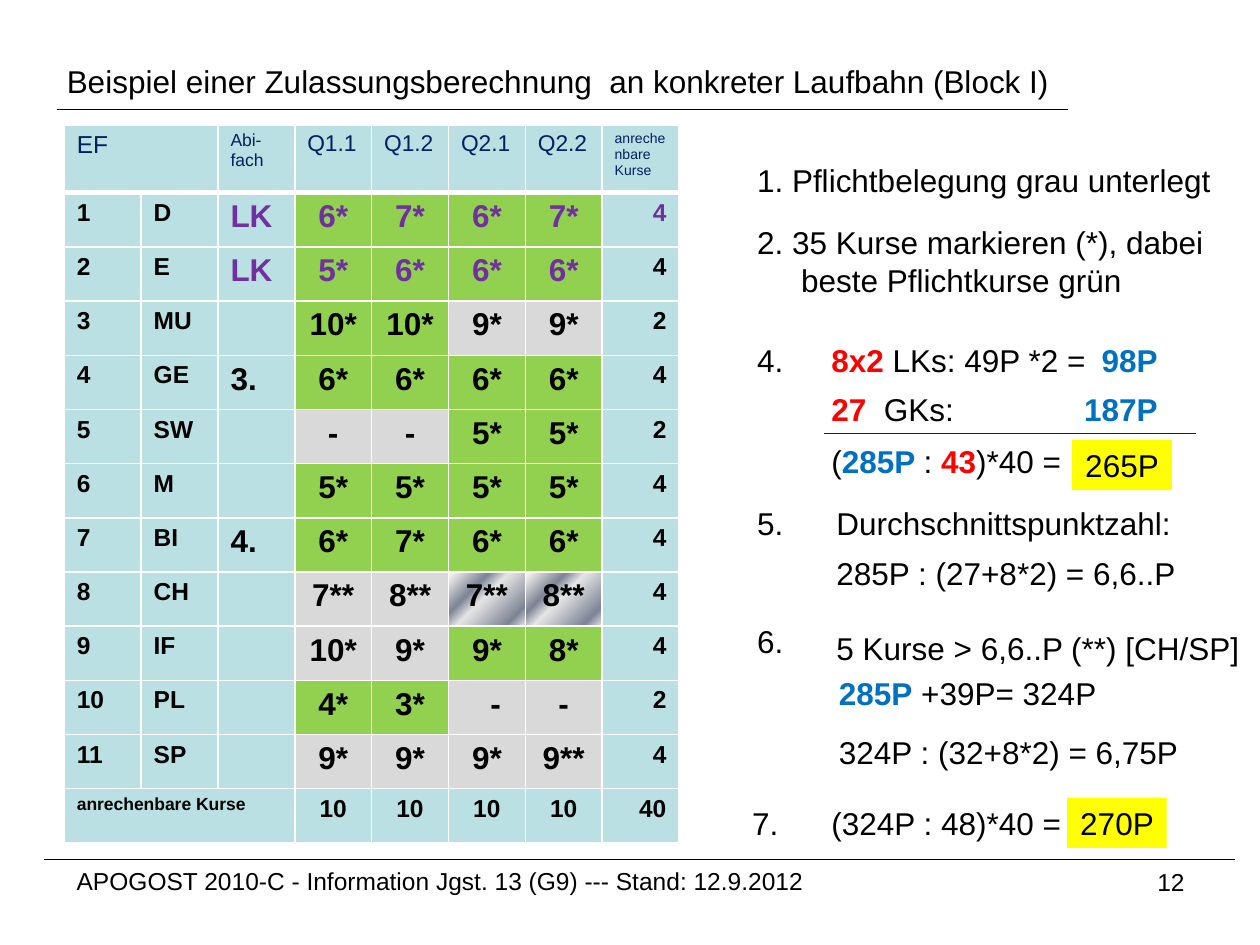
"""Build the slide that works out an admission score from course grades."""
from lxml import etree
from pptx import Presentation
from pptx.dml.color import RGBColor
from pptx.enum.shapes import MSO_CONNECTOR, MSO_SHAPE
from pptx.enum.text import MSO_ANCHOR, MSO_AUTO_SIZE, PP_ALIGN
from pptx.oxml.ns import qn
from pptx.util import Inches, Pt

LEFT, MID, RIGHT = PP_ALIGN.LEFT, PP_ALIGN.CENTER, PP_ALIGN.RIGHT
TOP, FIXED = MSO_ANCHOR.TOP, MSO_AUTO_SIZE.NONE
RECT, LINE = MSO_SHAPE.RECTANGLE, MSO_CONNECTOR.STRAIGHT


class Theme:
    font = "Arial"
    black, white, navy = "000000", "FFFFFF", "002060"
    red, blue, plum = "FF0000", "0070C0", "7030A0"
    pale, green, grey, gold = "BBE0E3", "92D050", "D9D9D9", "FFFF00"
    shine = ((0, white), (7, "E6E6E6"), (32, "7D8496"),
             (47, "E6E6E6"), (85, "7D8496"), (100, "E6E6E6"))
    big, base, head, small, tiny = 18, 14, 13, 10, 8
    thin, edge, thick = 0.75, 1, 3


class Page:
    def __init__(self, theme, slide):
        self.theme, self.slide = theme, slide

    def put(self, frame, lines, size, align=LEFT, indent=0, tab=0):
        for i, runs in enumerate(lines):
            para = frame.paragraphs[0] if i == 0 else frame.add_paragraph()
            para.alignment = align
            props = para._p.get_or_add_pPr()
            if indent and i == len(lines) - 1:
                props.set("marL", str(Inches(indent)))
                props.set("indent", "0")
            if tab:
                tabs = etree.SubElement(props, qn("a:tabLst"))
                etree.SubElement(tabs, qn("a:tab"), pos=str(Inches(tab)), algn="r")
            for words, color, bold in runs:
                run = para.add_run()
                run.text = words
                font = run.font
                font.name, font.size, font.bold = self.theme.font, Pt(size), bold
                font.color.rgb = RGBColor.from_string(color)

    def title(self, words, box):
        shape = self.slide.shapes.title
        shape.left, shape.top, shape.width, shape.height = map(Inches, box)
        frame = shape.text_frame
        frame.word_wrap, frame.auto_size = True, FIXED
        frame.vertical_anchor = TOP
        self.put(frame, [[(words, self.theme.black, False)]], self.theme.big)

    def text(self, lines, box, size=None, align=LEFT, **gaps):
        if isinstance(lines, str):
            lines = [[(lines, self.theme.black, False)]]
        frame = self.slide.shapes.add_textbox(*map(Inches, box)).text_frame
        frame.word_wrap = True
        self.put(frame, lines, size or self.theme.big, align, **gaps)

    def badge(self, words, left, top):
        shape = self.slide.shapes.add_shape(RECT, *map(Inches, (left, top, 0.79, 0.4)))
        shape.shadow.inherit = False
        shape.fill.solid()
        shape.fill.fore_color.rgb = RGBColor.from_string(self.theme.gold)
        shape.line.fill.background()
        shape.text_frame.word_wrap = False
        self.put(shape.text_frame, [[(words, self.theme.black, False)]],
                 self.theme.big, MID)

    def rule(self, left, right, y, color):
        line = self.slide.shapes.add_connector(LINE, *map(Inches, (left, y, right, y)))
        line.line.color.rgb = RGBColor.from_string(color)
        line.line.width = Pt(self.theme.thin)
        etree.SubElement(line._element.spPr, qn("a:effectLst"))

    def grid(self, left, top, side, rows):
        size = map(Inches, (left, top, side * 8, sum(rows)))
        table = self.slide.shapes.add_table(len(rows), 8, *size).table
        for col in table.columns:
            col.width = Inches(side)
        for row, high in zip(table.rows, rows):
            row.height = Inches(high)
        for i, row in enumerate(table.rows):
            for cell in row.cells:
                self.paint(cell, self.theme.pale, i == 0)
        return table

    def paint(self, cell, fill, head=False):
        props = cell._tc.get_or_add_tcPr()
        for child in list(props):
            props.remove(child)
        for side in "LRTB":
            wide = self.theme.thick if head and side == "B" else self.theme.edge
            line = etree.SubElement(props, qn("a:ln" + side), w=str(Pt(wide)))
            solid = etree.SubElement(line, qn("a:solidFill"))
            etree.SubElement(solid, qn("a:srgbClr"), val=self.theme.white)
        if isinstance(fill, str):
            cell.fill.solid()
            cell.fill.fore_color.rgb = RGBColor.from_string(fill)
            return
        grad = etree.SubElement(props, qn("a:gradFill"))
        stops = etree.SubElement(grad, qn("a:gsLst"))
        for pos, color in fill:
            stop = etree.SubElement(stops, qn("a:gs"), pos=str(pos * 1000))
            etree.SubElement(stop, qn("a:srgbClr"), val=color)
        etree.SubElement(grad, qn("a:lin"), ang="2700000", scaled="0")

    def cell(self, cell, words, size, color, bold=True, align=LEFT, indent=0):
        self.put(cell.text_frame, [[(words, color, bold)]], size, align, indent)


deck = Presentation()
deck.slide_width, deck.slide_height = Inches(10), Inches(7.5)
t = Theme()
page = Page(t, deck.slides.add_slide(deck.slide_layouts[5]))

page.title("Beispiel einer Zulassungsberechnung  an konkreter Laufbahn (Block I)",
           (0.43, 0.44, 8.05, 0.4))
for left, right, y, color in ((0.35, 9.8, 6.82, t.black), (0.45, 8.48, 0.87, t.black),
                              (6.54, 9.49, 3.44, t.navy)):
    page.rule(left, right, y, color)
page.text("APOGOST 2010-C - Information Jgst. 13 (G9) --- Stand: 12.9.2012",
          (0.51, 6.82, 6.53, 0.52), t.base)
page.text("12", (7.17, 6.83, 2.33, 0.52), t.base, RIGHT)

COURSES = (
    ("D", "LK", "6* 7* 6* 7*", "gggg", 4),
    ("E", "LK", "5* 6* 6* 6*", "gggg", 4),
    ("MU", "", "10* 10* 9* 9*", "ggss", 2),
    ("GE", "3.", "6* 6* 6* 6*", "gggg", 4),
    ("SW", "", "- - 5* 5*", "ssgg", 2),
    ("M", "", "5* 5* 5* 5*", "gggg", 4),
    ("BI", "4.", "6* 7* 6* 6*", "gggg", 4),
    ("CH", "", "7** 8** 7** 8**", "ssxx", 4),
    ("IF", "", "10* 9* 9* 8*", "ssgg", 4),
    ("PL", "", "4* 3* - -", "ggss", 2),
    ("SP", "", "9* 9* 9* 9**", "ssss", 4),
)
FILLS = {"g": t.green, "s": t.grey, "x": t.shine}
table = page.grid(0.51, 0.99, 0.61, [0.54] + [0.43] * 12)
table.cell(0, 0).merge(table.cell(0, 1))
table.cell(12, 0).merge(table.cell(12, 2))
heads = [(0, "EF", t.base), (2, "Abi-fach", t.small), (7, "anrechenbare Kurse", t.tiny)]
heads += [(3 + i, name, t.head) for i, name in enumerate(("Q1.1", "Q1.2", "Q2.1", "Q2.2"))]
for col, words, size in heads:
    page.cell(table.cell(0, col), words, size, t.navy, False)
for row, (name, exam, marks, kinds, count) in enumerate(COURSES, 1):
    color = t.plum if exam == "LK" else t.black
    page.cell(table.cell(row, 0), str(row), t.base, t.black)
    page.cell(table.cell(row, 1), name, t.base, t.black)
    if exam:
        page.cell(table.cell(row, 2), exam, t.big, color)
    for col, (mark, kind) in enumerate(zip(marks.split(), kinds), 3):
        spot = table.cell(row, col)
        page.paint(spot, FILLS[kind])
        shift = 0.14 if (name, col) == ("PL", 5) else 0
        page.cell(spot, mark, t.big, color, align=MID, indent=shift)
    page.cell(table.cell(row, 7), str(count), t.base,
              t.plum if row == 1 else t.black, align=RIGHT)
page.cell(table.cell(12, 0), "anrechenbare Kurse", t.small, t.black)
for col in range(3, 7):
    page.cell(table.cell(12, col), "10", t.base, t.black, align=MID)
page.cell(table.cell(12, 7), "40", t.base, t.black, align=RIGHT)

page.text("1. Pflichtbelegung grau unterlegt", (5.91, 1.23, 3.89, 0.4))
page.text([[("2. 35 Kurse markieren (*), dabei", t.black, False)],
           [("beste Pflichtkurse grün", t.black, False)]],
          (5.91, 1.72, 3.89, 0.71), indent=0.35)
for words, left, top in (("4.", 5.91, 2.66), ("5.", 5.91, 3.95),
                         ("6.", 5.91, 4.89), ("7.", 5.87, 6.33)):
    page.text(words, (left, top, 0.55, 0.4))
for top, count, label, score in ((2.66, "8x2", " LKs: 49P *2 =\t", "98P"),
                                 (3.05, "27", "  GKs:\t", "187P")):
    page.text([[(count, t.red, True), (label, t.black, False), (score, t.blue, True)]],
              (6.5, top, 2.91, 0.4), tab=2.59)
page.text([[("(", t.black, False), ("285P ", t.blue, True), (": ", t.black, False),
            ("43", t.red, True), (")*40 =", t.black, False)]], (6.5, 3.46, 2.04, 0.4))
page.text([[("285P", t.blue, True), (" +39P= 324P", t.black, False)]],
          (6.56, 5.3, 2.26, 0.4))
for words, left, top, wide in (("Durchschnittspunktzahl:", 6.54, 3.95, 2.88),
                               ("285P : (27+8*2) = 6,6..P", 6.54, 4.35, 3.04),
                               ("5 Kurse > 6,6..P (**) [CH/SP]", 6.54, 4.94, 3.45),
                               ("324P : (32+8*2) = 6,75P", 6.56, 5.77, 2.92),
                               ("(324P : 48)*40 =", 6.5, 6.33, 2.04)):
    page.text(words, (left, top, wide, 0.4))
page.badge("265P", 8.51, 3.49)
page.badge("270P", 8.47, 6.33)
deck.save("out.pptx")
